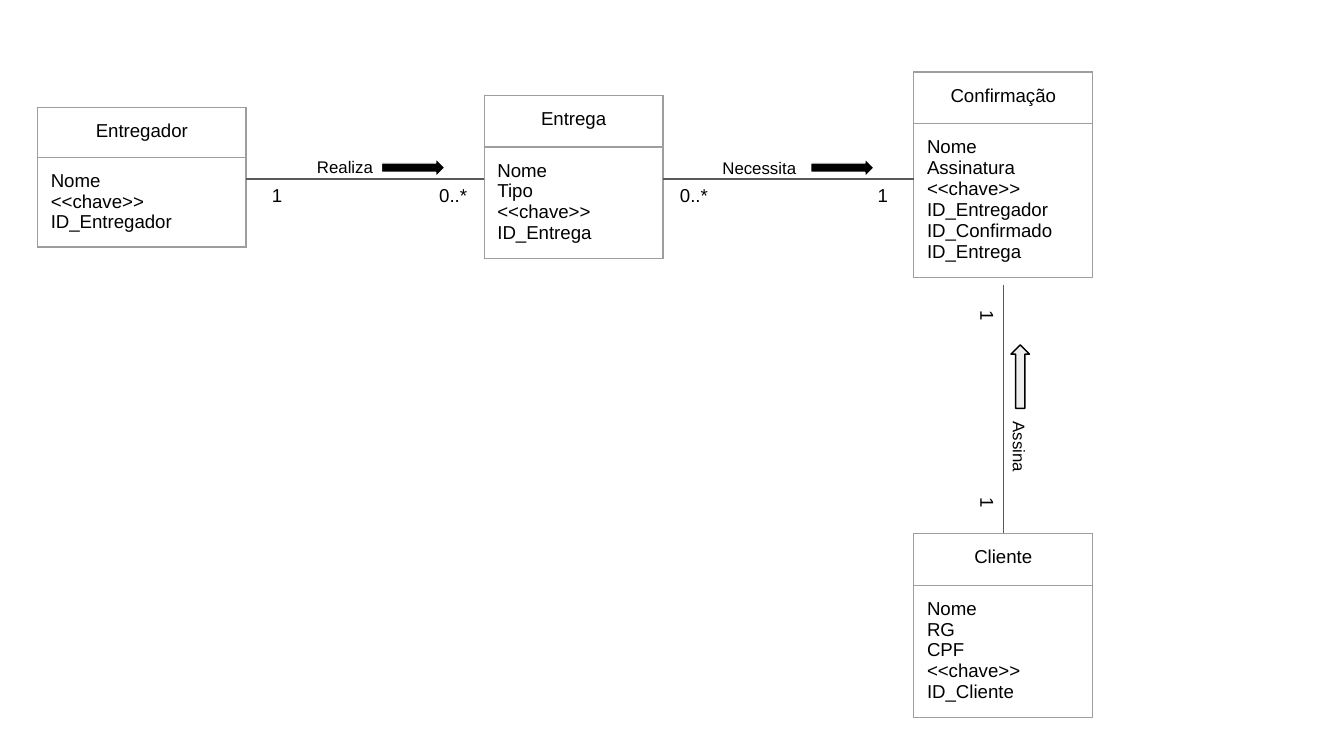
from dataclasses import dataclass

from lxml.etree import SubElement
from pptx import Presentation
from pptx.dml.color import RGBColor
from pptx.enum.shapes import MSO_CONNECTOR as Connector, MSO_SHAPE as Shape
from pptx.enum.text import MSO_ANCHOR as Anchor, PP_ALIGN as Align
from pptx.oxml.ns import qn
from pptx.util import Cm, Pt


@dataclass(frozen=True)
class Theme:
    font: str = "Arial"
    text: RGBColor = RGBColor(0, 0, 0)
    line: RGBColor = RGBColor(0x59, 0x59, 0x59)
    border: str = "9E9E9E"
    black: RGBColor = RGBColor(0, 0, 0)
    white: RGBColor = RGBColor(255, 255, 255)
    pale: RGBColor = RGBColor(0xEE, 0xEE, 0xEE)
    body_size: Pt = Pt(10)
    name_size: Pt = Pt(9)
    line_width: Pt = Pt(0.75)


THEME = Theme()
PADDING = 0.25
LINE_HEIGHT = 0.4
END_SIZE = (1.17, 0.56)
NAME_SIZE = (1.9, 0.6)
ARROW_SIZE = (1.2, 0.35)

ENTITIES = [
    ((0.71, 2.03), 3.94, 0.94, "Entregador", ["Nome", "<<chave>>", "ID_Entregador"]),
    ((9.15, 1.8), 3.38, 0.98, "Entrega", ["Nome", "Tipo", "<<chave>>", "ID_Entrega"]),
    ((17.27, 1.36), 3.38, 0.98, "Confirmação",
     ["Nome", "Assinatura", "<<chave>>", "ID_Entregador", "ID_Confirmado", "ID_Entrega"]),
    ((17.27, 10.08), 3.38, 0.98, "Cliente", ["Nome", "RG", "CPF", "<<chave>>", "ID_Cliente"]),
]

SOLID_ARROW = (Shape.RIGHT_ARROW, THEME.black, THEME.white)
PALE_ARROW = (Shape.LEFT_ARROW, THEME.pale, THEME.black)

RELATIONS = [
    {"start": (4.65, 3.38), "length": 4.5, "ends": ("1", "0..*"), "name": "Realiza",
     "name_at": (1.87, -0.22), "arrow_at": (3.16, -0.21), "arrow": SOLID_ARROW},
    {"start": (12.53, 3.38), "length": 4.74, "ends": ("0..*", "1"), "name": "Necessita",
     "name_at": (1.82, -0.2), "arrow_at": (3.39, -0.21), "arrow": SOLID_ARROW},
    {"start": (18.97, 5.38), "length": 4.7, "ends": ("1", "1"), "name": "Assina",
     "name_at": (3.07, -0.3), "arrow_at": (1.74, -0.31), "arrow": PALE_ARROW, "vertical": True},
]


def set_all(target, values):
    for key, value in values.items():
        setattr(target, key, value)


def write(frame, lines, size, align):
    for index, line in enumerate(lines):
        para = frame.paragraphs[0] if index == 0 else frame.add_paragraph()
        para.alignment = align
        span = para.add_run()
        span.text = line
        set_all(span.font, {"name": THEME.font, "size": size, "bold": False})
        span.font.color.rgb = THEME.text


def outline_cell(cell):
    properties = cell._tc.get_or_add_tcPr()
    for side in ("a:lnL", "a:lnR", "a:lnT", "a:lnB"):
        edge = SubElement(properties, qn(side), w=str(int(THEME.line_width)))
        fill = SubElement(edge, qn("a:solidFill"))
        SubElement(fill, qn("a:srgbClr"), val=THEME.border)
    cell.fill.background()


def add_entity(page, corner, width, header, title, fields):
    left, top = corner
    body = 2 * PADDING + LINE_HEIGHT * len(fields)
    table = page.shapes.add_table(
        2, 1, Cm(left), Cm(top), Cm(width), Cm(header + body)).table
    set_all(table, {"first_row": False, "horz_banding": False})
    rows = [(header, [title], Align.CENTER), (body, fields, Align.LEFT)]
    for index, (height, lines, align) in enumerate(rows):
        table.rows[index].height = Cm(height)
        cell = table.cell(index, 0)
        outline_cell(cell)
        set_all(cell, {f"margin_{side}": Cm(PADDING)
                       for side in ("left", "right", "top", "bottom")})
        write(cell.text_frame, lines, THEME.body_size, align)


def centered(center, size):
    (x, y), (width, height) = center, size
    return Cm(x - width / 2), Cm(y - height / 2), Cm(width), Cm(height)


def add_label(page, center, size, text, type_size, rotation):
    box = page.shapes.add_textbox(*centered(center, size))
    box.rotation = rotation
    set_all(box.text_frame, {
        "word_wrap": True, "vertical_anchor": Anchor.MIDDLE, "margin_left": 0,
        "margin_right": 0, "margin_top": 0, "margin_bottom": 0})
    write(box.text_frame, [text], type_size, Align.CENTER)


def add_arrow(page, center, kind, fill, line, rotation):
    arrow = page.shapes.add_shape(kind, *centered(center, ARROW_SIZE))
    arrow.rotation = rotation
    arrow.shadow.inherit = False
    arrow.fill.solid()
    arrow.fill.fore_color.rgb = fill
    arrow.line.color.rgb = line
    arrow.line.width = THEME.line_width


def add_relation(page, start, length, ends, name, name_at, arrow_at, arrow, vertical=False):
    x, y = start
    rotation = 90 if vertical else 0

    def place(along, across):
        return (x - across, y + along) if vertical else (x + along, y + across)

    finish = place(length, 0)
    link = page.shapes.add_connector(
        Connector.STRAIGHT, Cm(x), Cm(y), Cm(finish[0]), Cm(finish[1]))
    link.line.color.rgb = THEME.line
    link.line.width = THEME.line_width
    SubElement(link._element.spPr, qn("a:effectLst"))

    inset = END_SIZE[0] / 2
    for text, along in zip(ends, (inset, length - inset)):
        add_label(page, place(along, 0.3), END_SIZE, text, THEME.body_size, rotation)
    add_label(page, place(*name_at), NAME_SIZE, name, THEME.name_size, rotation)
    add_arrow(page, place(*arrow_at), *arrow, rotation)


def build():
    deck = Presentation()
    set_all(deck, {"slide_width": Cm(25.4), "slide_height": Cm(14.29)})
    page = deck.slides.add_slide(deck.slide_layouts[6])
    for entity in ENTITIES:
        add_entity(page, *entity)
    for relation in RELATIONS:
        add_relation(page, **relation)
    deck.save("out.pptx")


build()
